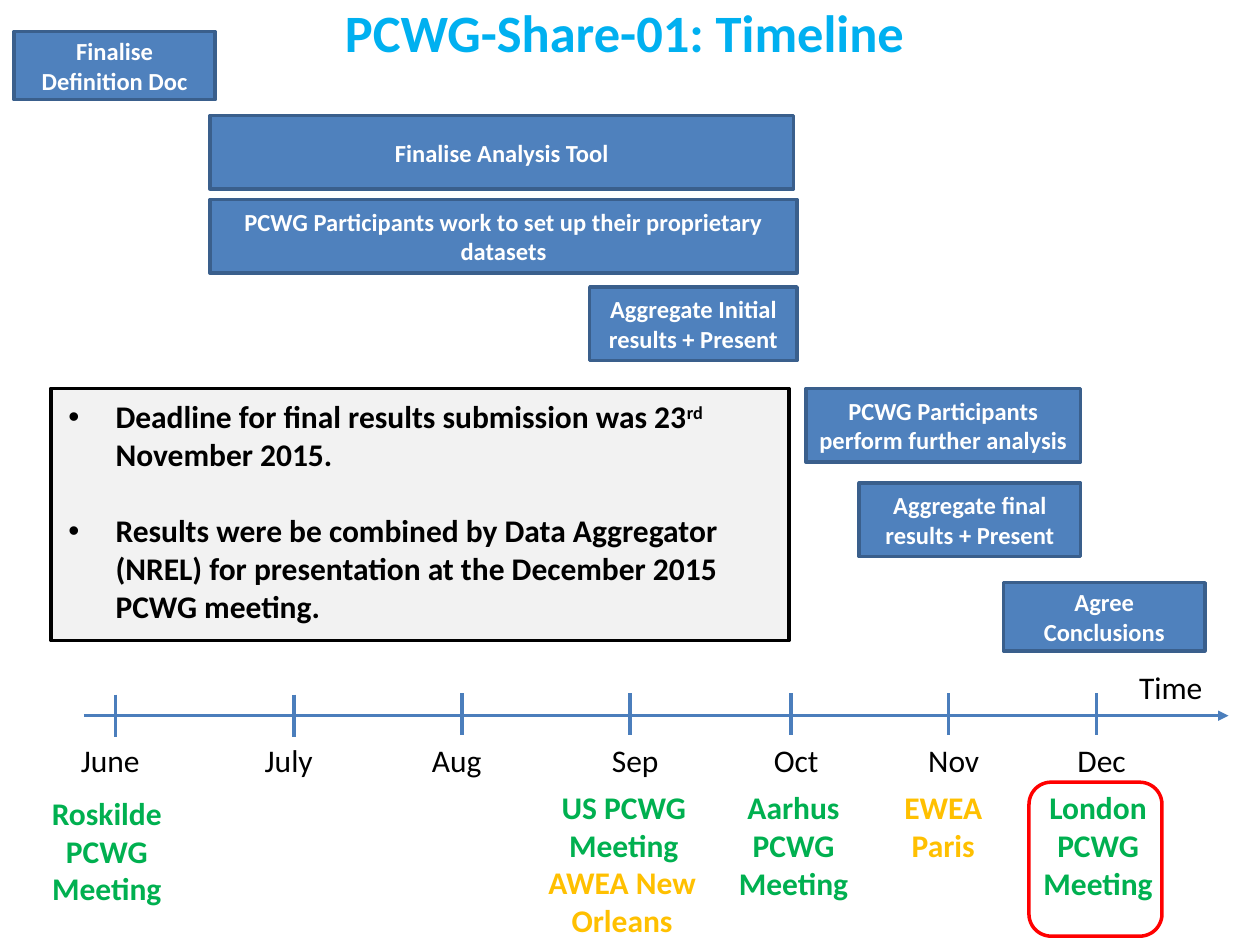
from dataclasses import dataclass
from typing import NamedTuple

from lxml.etree import SubElement
from pptx import Presentation
from pptx.dml.color import RGBColor as Rgb
from pptx.enum.shapes import MSO_CONNECTOR as Connector, MSO_SHAPE as Preset
from pptx.enum.text import MSO_ANCHOR as Anchor, PP_ALIGN as Align
from pptx.oxml.ns import qn
from pptx.util import Pt


@dataclass(frozen=True)
class Theme:
    font: str = "Calibri"
    title_size: float = 30
    body_size: float = 18
    task_size: float = 14
    outline: float = 2
    axis_width: float = 1.75
    title: str = "00B0F0"
    task_fill: str = "4F81BD"
    task_line: str = "3A5F8C"
    axis: str = "4B7EBC"
    pcwg: str = "00B050"
    conference: str = "FFC000"
    highlight: str = "FF0000"
    note_fill: str = "F2F2F2"
    ink: str = "000000"
    paper: str = "FFFFFF"


class Box(NamedTuple):
    left: float
    top: float
    width: float
    height: float


class Task(NamedTuple):
    label: str
    box: Box


class Month(NamedTuple):
    label: str
    tick_x: float
    tick_top: float
    label_offset: float


class Meeting(NamedTuple):
    lines: list[str]
    box: Box
    color: str


class Superscript(NamedTuple):
    text: str


THEME = Theme()
AXIS_Y = 409
TICK_LENGTH = 24
BULLET_INDENT = 27
BLANK_LINE = 22

TASKS = [
    Task("Finalise Definition Doc", Box(8, 18, 115, 39)),
    Task("Finalise Analysis Tool", Box(120, 66, 333.5, 42)),
    Task("PCWG Participants work to set up their proprietary datasets", Box(120, 114, 335.5, 42)),
    Task("Aggregate Initial results + Present", Box(337, 164, 118.5, 42)),
    Task("PCWG Participants perform further analysis", Box(460.5, 222, 157, 42)),
    Task("Aggregate final results + Present", Box(491, 276, 126.5, 42)),
    Task("Agree Conclusions", Box(573.5, 333, 115, 39)),
]

MONTHS = [
    Month("June", 66, 397, -42),
    Month("July", 168, 397, -42),
    Month("Aug", 264, 396, -42),
    Month("Sep", 360, 396, -36),
    Month("Oct", 452, 396, -36),
    Month("Nov", 542, 396, -36),
    Month("Dec", 626.5, 396, -36),
]

MEETINGS = [
    Meeting(["Roskilde", "PCWG Meeting"], Box(20, 450, 82, 73), THEME.pcwg),
    Meeting(["US PCWG Meeting"], Box(300, 447, 113, 51), THEME.pcwg),
    Meeting(["Aarhus", "PCWG Meeting"], Box(397, 447, 113, 73), THEME.pcwg),
    Meeting(["EWEA Paris"], Box(498, 447, 82, 51), THEME.conference),
    Meeting(["London", "PCWG Meeting"], Box(571, 447, 113, 73), THEME.pcwg),
    Meeting(["AWEA New Orleans"], Box(304.5, 489.5, 102, 51), THEME.conference),
]

NOTES = [
    ["Deadline for final results submission was 23", Superscript("rd "), "November 2015."],
    ["Results were be combined by Data Aggregator (NREL) for presentation "
     "at the December 2015 PCWG meeting."],
]


def write(shape, paragraphs, *, size=THEME.body_size, color=THEME.ink, bold=False,
          align=Align.CENTER, anchor=Anchor.TOP, inset=(7.2, 3.6), bullet="", gap=0) -> None:
    frame = shape.text_frame
    frame.word_wrap = True
    frame.vertical_anchor = anchor
    frame.margin_left = frame.margin_right = Pt(inset[0])
    frame.margin_top = frame.margin_bottom = Pt(inset[1])
    for index, pieces in enumerate(paragraphs):
        paragraph = frame.add_paragraph() if index else frame.paragraphs[0]
        if bullet:
            properties = paragraph._p.get_or_add_pPr()
            properties.set("marL", str(Pt(BULLET_INDENT)))
            properties.set("indent", str(-Pt(BULLET_INDENT)))
            SubElement(properties, qn("a:buFont")).set("typeface", "Arial")
            SubElement(properties, qn("a:buChar")).set("char", bullet)
        paragraph.alignment = align
        if index and gap:
            paragraph.space_before = Pt(gap)
        for piece in [pieces] if isinstance(pieces, str) else pieces:
            run = paragraph.add_run()
            raised = isinstance(piece, Superscript)
            run.text = piece.text if raised else piece
            run.font.name = THEME.font
            run.font.size = Pt(size)
            run.font.bold = bold
            run.font.color.rgb = Rgb.from_string(color)
            if raised:
                run._r.get_or_add_rPr().set("baseline", "30000")


def draw_shape(slide, preset: Preset, box: Box, line: str, fill: str = ""):
    shape = slide.shapes.add_shape(preset, *map(Pt, box))
    shape.shadow.inherit = False
    shape.line.color.rgb = Rgb.from_string(line)
    shape.line.width = Pt(THEME.outline)
    if fill:
        shape.fill.solid()
        shape.fill.fore_color.rgb = Rgb.from_string(fill)
    else:
        shape.fill.background()
    return shape


def draw_text(slide, box: Box, lines: list[str], **style) -> None:
    write(slide.shapes.add_textbox(*map(Pt, box)), lines, **style)


def draw_line(slide, start: tuple[float, float], end: tuple[float, float],
              width: float, arrow: bool = False) -> None:
    line = slide.shapes.add_connector(Connector.STRAIGHT, *map(Pt, (*start, *end)))
    line.line.color.rgb = Rgb.from_string(THEME.axis)
    line.line.width = Pt(width)
    if arrow:
        SubElement(line.line._get_or_add_ln(), qn("a:tailEnd")).set("type", "triangle")
    SubElement(line._element.spPr, qn("a:effectLst"))


def draw_task(slide, task: Task) -> None:
    bar = draw_shape(slide, Preset.RECTANGLE, task.box, THEME.task_line, THEME.task_fill)
    write(bar, [task.label], size=THEME.task_size, color=THEME.paper, bold=True,
          anchor=Anchor.MIDDLE)


def draw_month(slide, month: Month) -> None:
    draw_line(slide, (month.tick_x, month.tick_top),
              (month.tick_x, month.tick_top + TICK_LENGTH), THEME.outline)
    draw_text(slide, Box(month.tick_x + month.label_offset, 420, 78, 30), [month.label])


def main() -> None:
    deck = Presentation()
    deck.slide_width, deck.slide_height = Pt(720), Pt(540)
    slide = deck.slides.add_slide(deck.slide_layouts[6])

    draw_line(slide, (48, AXIS_Y), (702, AXIS_Y), THEME.axis_width, arrow=True)
    draw_text(slide, Box(630, 378, 78, 29), ["Time"])
    for month in MONTHS:
        draw_month(slide, month)
    for task in TASKS:
        draw_task(slide, task)
    for meeting in MEETINGS:
        draw_text(slide, meeting.box, meeting.lines, color=meeting.color, bold=True)

    draw_text(slide, Box(-3, -1, 720, 38.5), ["PCWG-Share-01: Timeline"],
              size=THEME.title_size, color=THEME.title, bold=True,
              anchor=Anchor.MIDDLE, inset=(10, 5))
    draw_shape(slide, Preset.ROUNDED_RECTANGLE, Box(588, 447, 76, 88), THEME.highlight)
    notes = draw_shape(slide, Preset.RECTANGLE, Box(29, 222, 422, 144),
                       THEME.ink, THEME.note_fill)
    write(notes, NOTES, bold=True, align=Align.LEFT, inset=(10, 5), bullet="•", gap=BLANK_LINE)

    deck.save("out.pptx")


if __name__ == "__main__":
    main()
